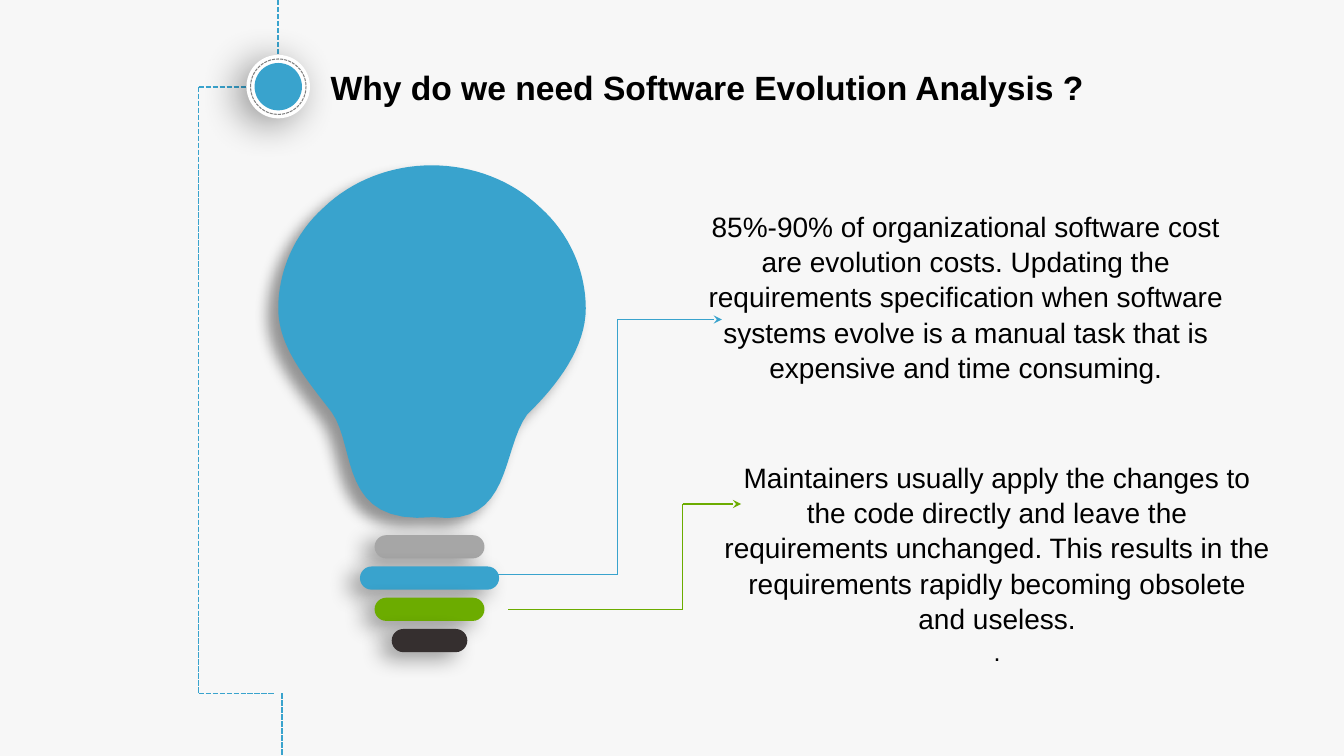
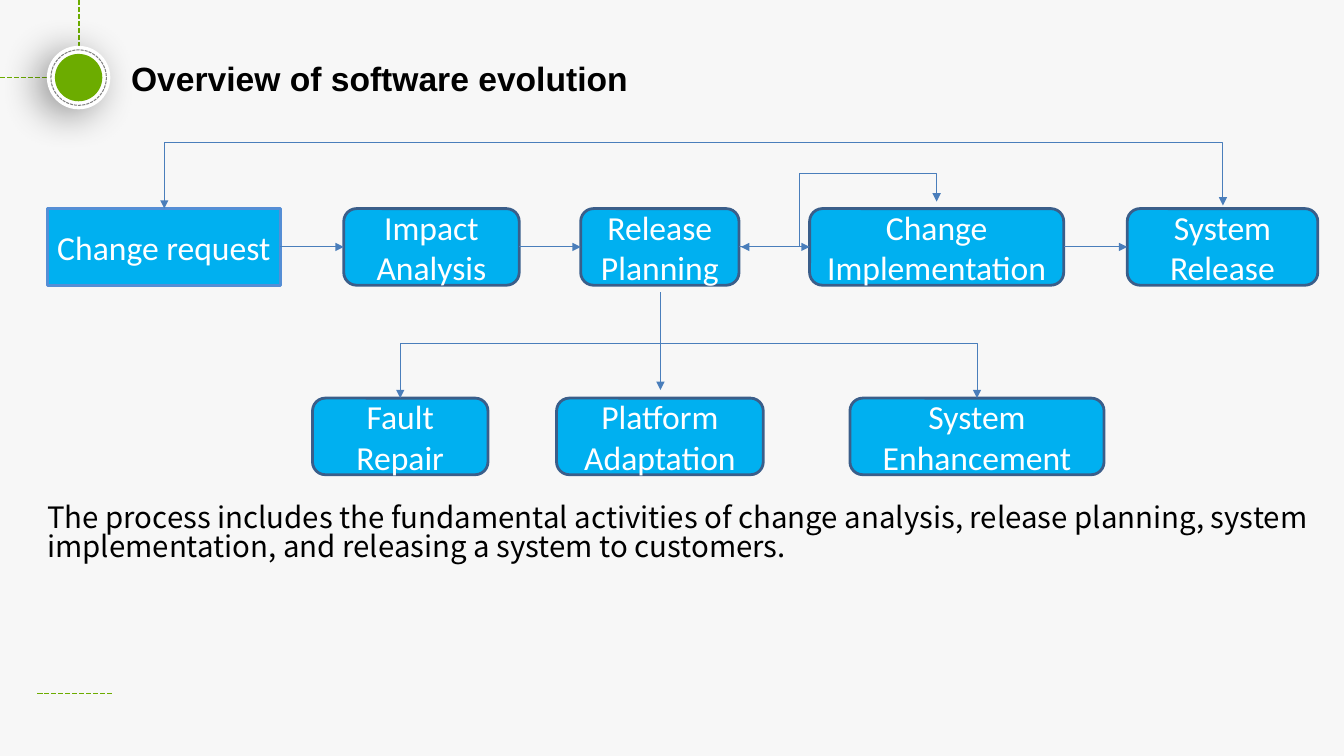
import itertools
import lxml.etree
import pptx
import pptx.util
import pptx.dml.color
import pptx.enum.dml
import pptx.enum.shapes
import pptx.enum.text
import pptx.oxml.ns

INK = {
    "page": "F7F7F7", "blue": "39A3CD", "green": "6CAC00", "grey": "A6A6A6",
    "dark": "352F2F", "white": "FFFFFF", "black": "000000", "ring": "808080",
    "box": "00B0F0", "edge": "3A5E8A", "first": "558ED5", "flow": "4A7EBB",
}
KIND = pptx.enum.shapes.MSO_SHAPE
ALIGN = pptx.enum.text.PP_ALIGN
ANCHOR = pptx.enum.text.MSO_ANCHOR
DASH = pptx.enum.dml.MSO_LINE.SQUARE_DOT

TITLE = {"size": 24, "name": "Arial", "ink": "black", "bold": True}
NOTE = {"size": 20, "name": "Arial", "ink": "black"}
LABEL = {"size": 24, "name": "Calibri", "ink": "white"}
BODY = {"size": 21, "name": "Noto Sans CJK SC", "ink": "black"}

NOTES = [
    ((6.81, 2.01, 5.54, 1.69), [
        ("85%-90% of organizational software cost are evolution costs. Updating the "
         "requirements specification when software systems evolve is a manual task "
         "that is expensive and time consuming.", NOTE)]),
    ((7.12, 4.5, 5.54, 1.98), [
        ("Maintainers usually apply the changes to the code directly and leave the "
         "requirements unchanged. This results in the requirements rapidly becoming "
         "obsolete and useless.", NOTE),
        (".", {**NOTE, "size": 18})]),
]
SPINE = [
    [(1.97, 0.86), (1.97, 6.88), (2.73, 6.88)],
    [(2.8, 6.88), (2.8, 7.5)],
]
LEADS = [
    ("blue", [(4.93, 5.7), (6.12, 5.7), (6.12, 3.17), (7.16, 3.17)]),
    ("green", [(5.04, 6.05), (6.77, 6.05), (6.77, 5), (7.35, 5)]),
]
BULB = [
    (2.76, 3.06),
    (2.76, 2.69), (2.92, 2.32), (3.21, 2.06),
    (3.49, 1.79), (3.88, 1.64), (4.28, 1.64),
    (4.69, 1.64), (5.08, 1.79), (5.36, 2.06),
    (5.65, 2.32), (5.81, 2.69), (5.81, 3.06),
    (5.81, 3.44), (5.54, 3.81), (5.23, 4.11),
    (4.97, 4.46), (5.08, 5.23), (4.3, 5.13),
    (3.35, 5.22), (3.54, 4.44), (3.29, 4.09),
    (3.03, 3.75), (2.76, 3.44), (2.76, 3.06),
]
BASE = [("grey", 1.09), ("blue", 1.38), ("green", 1.09), ("dark", 0.75)]

STEPS = [
    ("Change request", 0.47, 2.31), ("Impact Analysis", 3.41, 1.74),
    ("Release Planning", 5.76, 1.57), ("Change Implementation", 8.03, 2.52),
    ("System Release", 11.18, 1.89),
]
TYPES = [
    ("Fault Repair", 3.1, 1.74), ("Platform Adaptation", 5.52, 2.05),
    ("System Enhancement", 8.43, 2.52),
]
LOOPS = [
    [(9.29, 2), (9.29, 1.72), (7.93, 1.72), (7.93, 2.45), (7.35, 2.45)],
    [(1.63, 2.07), (1.63, 1.41), (12.13, 1.41), (12.13, 2.04)],
    [(3.97, 3.95), (3.97, 3.41), (9.69, 3.41), (9.69, 3.95)],
]
CLOSE = ("The process includes the fundamental activities of change analysis, release "
         "planning, system implementation, and releasing a system to customers.")


def emu(vals):
    return [pptx.util.Inches(v) for v in vals]


def tint(ink):
    return pptx.dml.color.RGBColor.from_string(INK[ink])


def node(top, tag, **vals):
    return lxml.etree.SubElement(top, pptx.oxml.ns.qn(tag), vals)


def stroke(item, ink, wide, dash=None, head=None, tail=None):
    item.line.color.rgb = tint(ink)
    item.line.width = pptx.util.Pt(wide)
    if dash:
        item.line.dash_style = dash
    rim = item.element.spPr.find(pptx.oxml.ns.qn("a:ln"))
    for tag, end in (("a:headEnd", head), ("a:tailEnd", tail)):
        if end:
            node(rim, tag, type=end)


def paint(item, fill=None, line=None, cast=None):
    item.shadow.inherit = False
    if fill:
        item.fill.solid()
        item.fill.fore_color.rgb = tint(fill)
    else:
        item.fill.background()
    if line:
        stroke(item, *line)
    else:
        item.line.fill.background()
    if cast:
        blur, dist, turn = cast
        glow = item.element.spPr.find(pptx.oxml.ns.qn("a:effectLst"))
        drop = node(glow, "a:outerShdw", blurRad=str(blur * 12700),
                    dist=str(dist * 12700), dir=str(turn * 60000),
                    algn="ctr", rotWithShape="0")
        node(node(drop, "a:srgbClr", val=INK["black"]), "a:alpha", val="40000")
    return item


def shape(page, kind, at, **look):
    return paint(page.shapes.add_shape(kind, *emu(at)), **look)


def line(page, a, b, *look, **ends):
    item = page.shapes.add_connector(
        pptx.enum.shapes.MSO_CONNECTOR.STRAIGHT, *emu(a + b))
    stroke(item, *look, **ends)
    node(item.element.spPr, "a:effectLst")
    return item


def trail(page, pts, *look, tail=None):
    for k, (a, b) in enumerate(itertools.pairwise(pts), 2):
        line(page, a, b, *look, tail=tail if k == len(pts) else None)


def trace(page, pts, close=False, **look):
    spots = [tuple(emu(p)) for p in pts]
    form = page.shapes.build_freeform(*spots[0], scale=1.0)
    form.add_line_segments(spots[1:], close=close)
    return paint(form.convert_to_shape(), **look)


def curve(pts, cuts=16):
    out = [pts[0]]
    for k in range(0, len(pts) - 1, 3):
        for t in (n / cuts for n in range(1, cuts + 1)):
            mix = ((1 - t) ** 3, 3 * t * (1 - t) ** 2, 3 * t * t * (1 - t), t ** 3)
            out.append(tuple(sum(m * p[d] for m, p in zip(mix, pts[k:k + 4]))
                             for d in (0, 1)))
    return out


def write(item, paras, align, anchor=ANCHOR.TOP, pad=0.05, gap=None):
    frame = item.text_frame
    inset = pptx.util.Inches(pad)
    form = {"word_wrap": True, "vertical_anchor": anchor, "margin_left": inset,
            "margin_right": inset, "margin_top": inset, "margin_bottom": inset}
    for key, val in form.items():
        setattr(frame, key, val)
    for k, (text, style) in enumerate(paras):
        para = frame.add_paragraph() if k else frame.paragraphs[0]
        para.alignment = align
        para.line_spacing = gap
        run = para.add_run()
        run.text = text
        run.font.color.rgb = tint(style["ink"])
        face = {"size": pptx.util.Pt(style["size"]), "name": style["name"],
                "bold": style.get("bold", False)}
        for key, val in face.items():
            setattr(run.font, key, val)


def label(page, at, paras, *look, **form):
    write(page.shapes.add_textbox(*emu(at)), paras, *look, **form)


def start(deck, ink, x, y, text, wide):
    page = deck.slides.add_slide(deck.slide_layouts[6])
    page.background.fill.solid()
    page.background.fill.fore_color.rgb = tint("page")
    line(page, (max(0, x - 0.79), y), (x, y), ink, 1.25, DASH)
    line(page, (x, max(0, y - 0.86)), (x, y), ink, 1.25, DASH)
    disks = [
        (0.63, {"fill": "white", "cast": (28, 8, 150)}),
        (0.47, {"fill": ink}),
        (0.55, {"line": ("ring", 0.75, DASH)}),
    ]
    for size, look in disks:
        shape(page, KIND.OVAL, (x - size / 2, y - size / 2, size, size), **look)
    label(page, (x + 0.47, y - 0.25, wide, 0.5), [(text, TITLE)],
          ALIGN.LEFT, ANCHOR.MIDDLE)
    return page


def reasons(deck):
    page = start(deck, "blue", 2.76, 0.86,
                 "Why do we need Software Evolution Analysis ?", 8.24)
    for pts in SPINE:
        trail(page, pts, "blue", 1.25, DASH)
    trace(page, curve(BULB), close=True, fill="blue", cast=(10, 10, 140))
    for k, (ink, wide) in enumerate(BASE):
        bar = shape(page, KIND.ROUNDED_RECTANGLE,
                    (4.26 - wide / 2, 5.31 + k * 0.31, wide, 0.23),
                    fill=ink, cast=(16, 9, 150))
        bar.adjustments[0] = 0.5
    for at, paras in NOTES:
        label(page, at, paras, ALIGN.CENTER, gap=1.05)
    for ink, pts in LEADS:
        trail(page, pts, ink, 0.75, tail="stealth")


def row(page, cells, top):
    out = []
    for text, left, wide in cells:
        first = text == STEPS[0][0]
        kind = KIND.RECTANGLE if first else KIND.ROUNDED_RECTANGLE
        box = shape(page, kind, (left, top, wide, 0.76), fill="box",
                    line=("first" if first else "edge", 2))
        write(box, [(text, LABEL)], ALIGN.CENTER, ANCHOR.MIDDLE)
        out.append(box)
    return out


def process(deck):
    page = start(deck, "green", 0.78, 0.77, "Overview of software evolution", 5.39)
    line(page, (0.37, 6.88), (1.12, 6.88), "green", 1.25, DASH)
    steps = row(page, STEPS, 2.07)
    row(page, TYPES, 3.95)
    for a, b in itertools.pairwise(steps):
        link = line(page, (0, 0), (1, 0), "flow", 0.75, tail="triangle")
        link.begin_connect(a, 3)
        link.end_connect(b, 1)
    for pts in LOOPS:
        trace(page, pts, line=("flow", 0.75, None, "triangle", "triangle"))
    line(page, (6.55, 2.9), (6.55, 3.87), "flow", 0.75, tail="triangle")
    label(page, (0.47, 5.01, 12.6, 0.71), [(CLOSE, BODY)], ALIGN.LEFT,
          pad=0, gap=0.82)


def main():
    deck = pptx.Presentation()
    deck.slide_width, deck.slide_height = emu((13.33, 7.5))
    reasons(deck)
    process(deck)
    deck.save("out.pptx")


if __name__ == "__main__":
    main()
